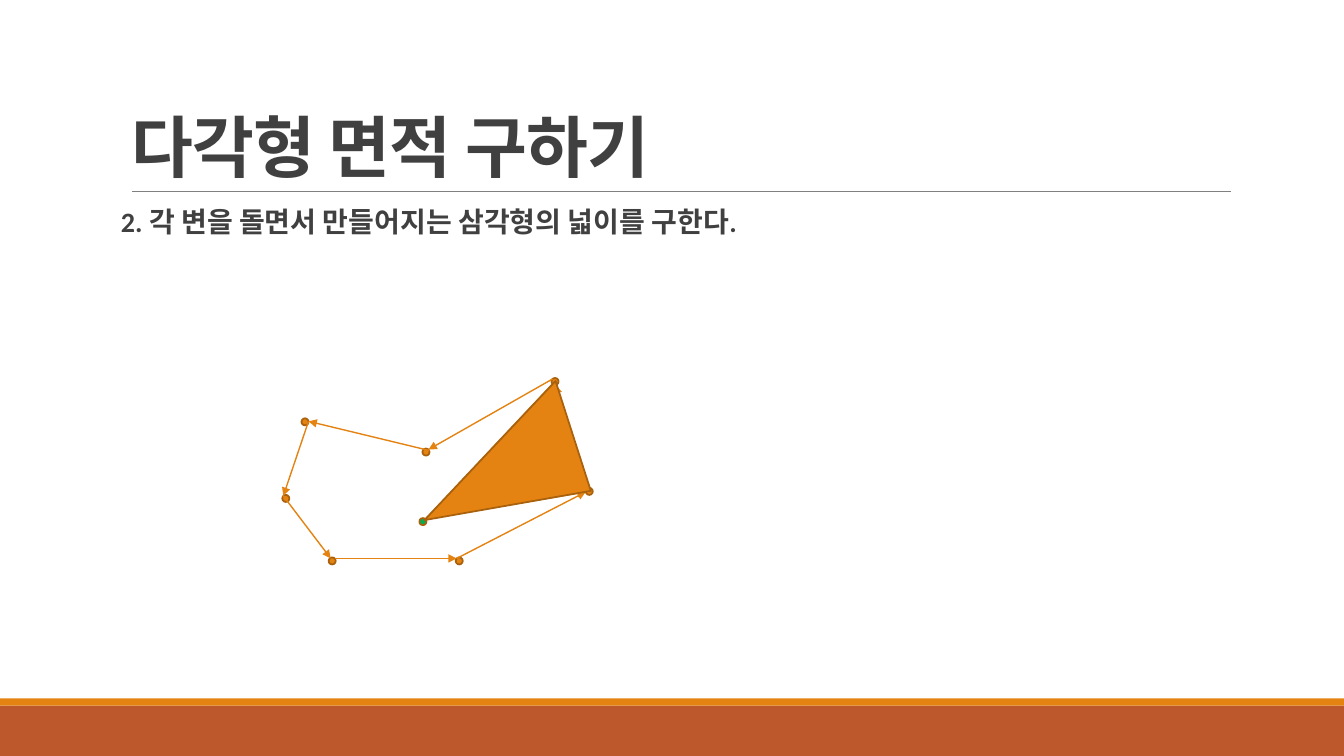
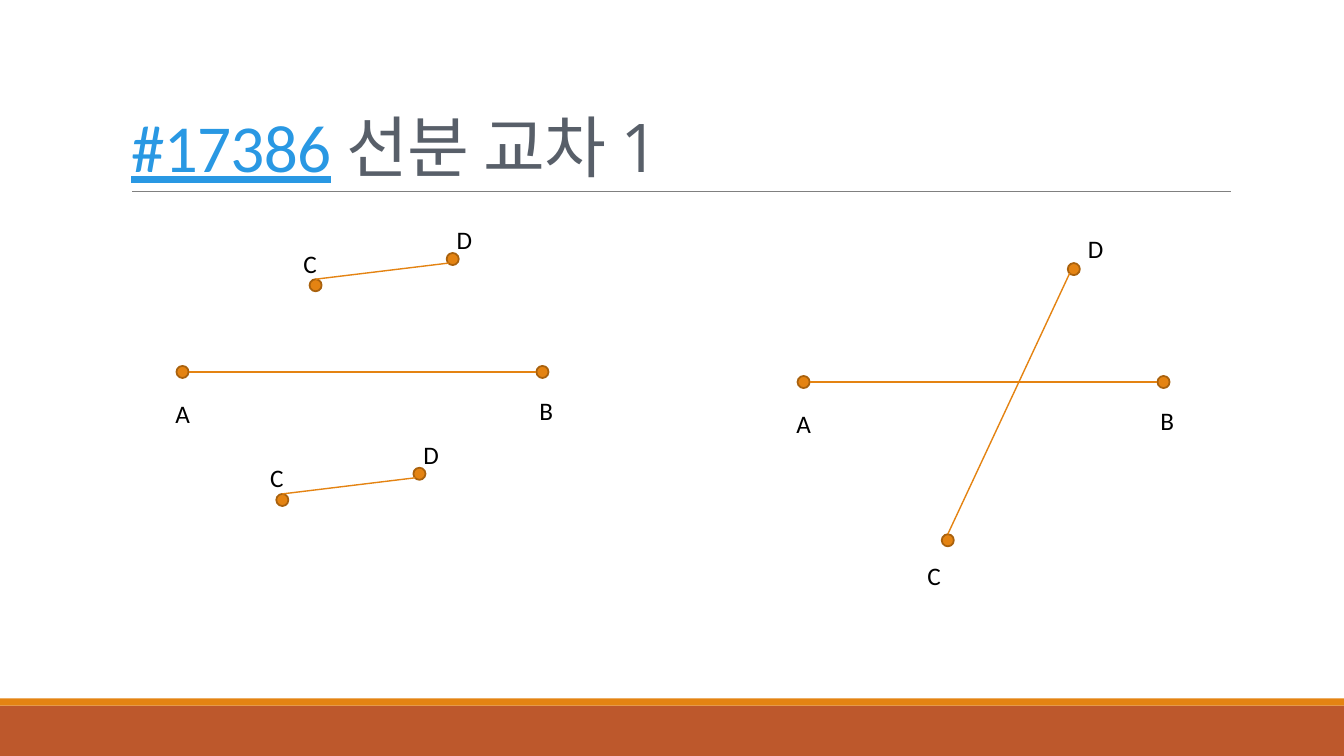
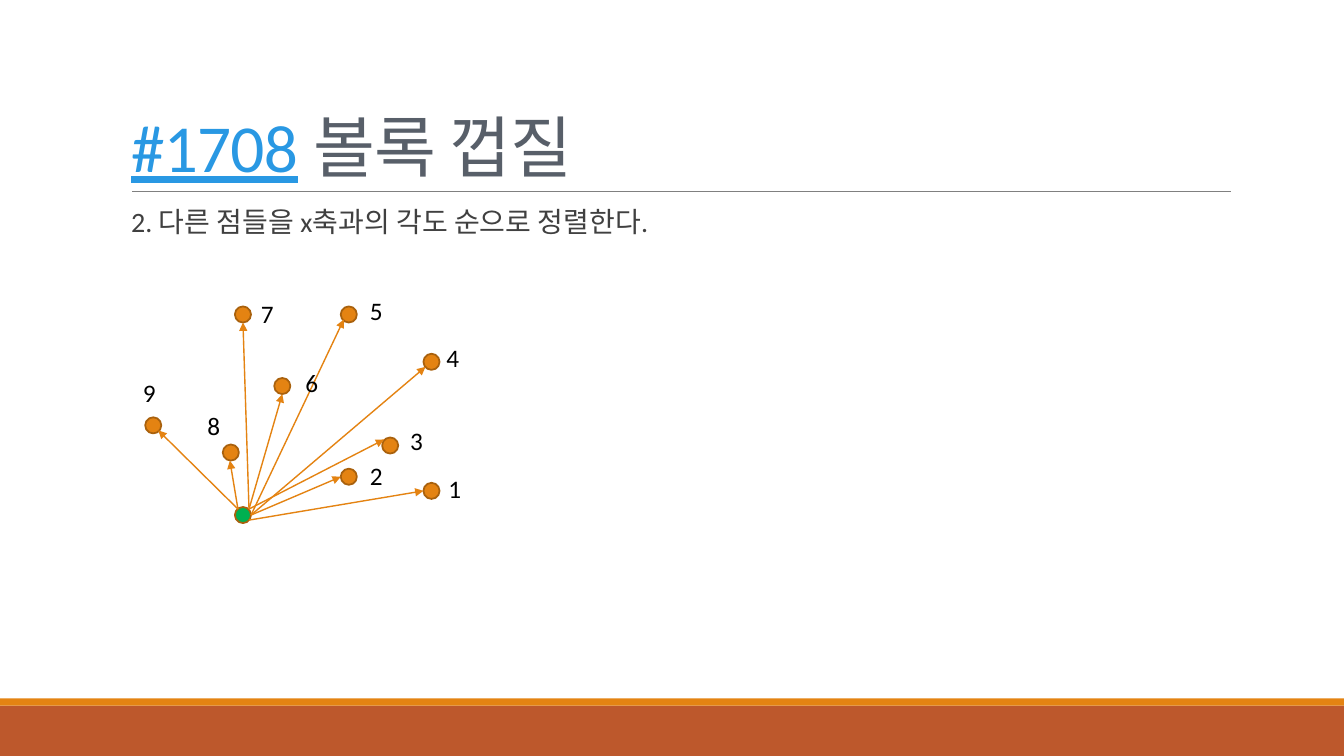
from dataclasses import dataclass
from typing import NamedTuple

from lxml.etree import SubElement
from pptx import Presentation
from pptx.dml.color import RGBColor
from pptx.enum.shapes import MSO_CONNECTOR as Connector, MSO_SHAPE as Preset
from pptx.enum.text import MSO_ANCHOR as Anchor, MSO_AUTO_SIZE as AutoSize, PP_ALIGN as Align
from pptx.oxml.ns import qn
from pptx.util import Inches, Pt

COLORS = {
    "band": "BD582C",
    "accent": "E48312",
    "outline": "A9610D",
    "pivot": "00B050",
    "rule": "808080",
    "text": "404040",
    "link": "2998E3",
    "subject": "585F69",
    "label": "000000",
}
FONT = "Calibri"


class Point(NamedTuple):
    x: float
    y: float

    def shifted(self, by: "Point") -> "Point":
        return Point(self.x + by.x, self.y + by.y)


class Span(NamedTuple):
    text: str
    color: str = "text"
    font: str = FONT
    bold: bool = False
    underline: bool = False


@dataclass(frozen=True)
class Label:
    text: str
    at: Point


@dataclass(frozen=True)
class Segment:
    dots: tuple[Point, Point]
    ends: tuple[Point, Point]
    labels: tuple[Label, Label]


@dataclass(frozen=True)
class Ray:
    dot: Point
    start: Point
    tip: Point
    label: Point


def color(name: str) -> RGBColor:
    return RGBColor.from_string(COLORS[name])


def paint(shape, fill: str, outline: str | None = None) -> None:
    shape.shadow.inherit = False
    shape.fill.solid()
    shape.fill.fore_color.rgb = color(fill)
    if outline:
        shape.line.color.rgb = color(outline)
        shape.line.width = Pt(1.25)
    else:
        shape.line.fill.background()


def style_run(run, span: Span, size: float) -> None:
    font = run.font
    font.name, font.size = span.font, Pt(size)
    font.bold, font.underline = span.bold, span.underline
    font.color.rgb = color(span.color)


def add_line(page, start: Point, end: Point, arrow: bool = False,
             tint: str = "accent", width: float = 1):
    line = page.shapes.add_connector(
        Connector.STRAIGHT, *(Inches(value) for value in (*start, *end)))
    line.line.color.rgb = color(tint)
    line.line.width = Pt(width)
    if arrow:
        SubElement(line.line._get_or_add_ln(), qn("a:tailEnd"), type="triangle")
    SubElement(line.element.spPr, qn("a:effectLst"))
    return line


def add_dot(page, at: Point, size: float, fill: str = "accent") -> None:
    dot = page.shapes.add_shape(
        Preset.OVAL, Inches(at.x), Inches(at.y), Inches(size), Inches(size))
    paint(dot, fill, "outline")


def add_label(page, label: Label, width: float) -> None:
    box = page.shapes.add_textbox(
        Inches(label.at.x), Inches(label.at.y), Inches(width), Inches(0.4))
    frame = box.text_frame
    frame.word_wrap = True
    frame.auto_size = AutoSize.SHAPE_TO_FIT_TEXT
    frame.text = label.text
    style_run(frame.paragraphs[0].runs[0], Span(label.text, "label"), 18)


def add_band(page, top: float, height: float, fill: str):
    band = page.shapes.add_shape(
        Preset.RECTANGLE, 0, Inches(top), deck.slide_width, Inches(height))
    paint(band, fill)
    return band


def move_to_master(page) -> None:
    parts = [
        add_band(page, 7, 0.5, "band"),
        add_band(page, 6.93, 0.07, "accent"),
        add_line(page, Point(1.31, 1.9), Point(12.21, 1.9), tint="rule", width=0.5),
    ]
    tree = deck.slide_master.shapes.element
    for position, part in enumerate(parts, start=2):
        tree.insert(position, part.element)


def place(shape, top: float, height: float) -> None:
    shape.left, shape.top = Inches(1.2), Inches(top)
    shape.width, shape.height = Inches(11), Inches(height)


def set_title(page, spans: list[Span]) -> None:
    title = page.shapes.title
    place(title, 0.31, 1.59)
    frame = title.text_frame
    frame.vertical_anchor = Anchor.BOTTOM
    frame.auto_size = AutoSize.NONE
    para = frame.paragraphs[0]
    para.alignment = Align.LEFT
    para.line_spacing = 0.85
    for span in spans:
        run = para.add_run()
        run.text = span.text
        style_run(run, span, 48)
        run.font._element.set("spc", "-50")


def set_body(page, span: Span, indent: float = 0) -> None:
    body = page.placeholders[1]
    place(body, 2.02, 4.4)
    frame = body.text_frame
    frame.margin_left = frame.margin_right = 0
    frame.auto_size = AutoSize.NONE
    frame.text = span.text
    para = frame.paragraphs[0]
    para.line_spacing = 0.9
    para.space_before, para.space_after = Pt(12), Pt(2)
    style_run(para.runs[0], span, 20)
    properties = para._p.get_or_add_pPr()
    properties.set("marL", str(Inches(indent)))
    properties.set("indent", str(Inches(-indent)))
    if indent:
        bullet_color = SubElement(properties, qn("a:buClr"))
        SubElement(bullet_color, qn("a:srgbClr"), val=COLORS["accent"])
        SubElement(properties, qn("a:buChar"), char=" ")
    else:
        SubElement(properties, qn("a:buNone"))


def problem_title(number: str, subject: str) -> list[Span]:
    return [
        Span(number, "link", underline=True),
        Span(" "),
        Span(subject, "subject", "Open Sans"),
    ]


def add_triangle(page, corners: list[Point]) -> None:
    first, *others = [(Inches(x), Inches(y)) for x, y in corners]
    builder = page.shapes.build_freeform(*first)
    builder.add_line_segments(others, close=True)
    paint(builder.convert_to_shape(), "accent", "outline")


def add_segment(page, segment: Segment, shift: Point = Point(0, 0)) -> None:
    for dot in segment.dots:
        add_dot(page, dot.shifted(shift), 0.12)
    add_line(page, *(end.shifted(shift) for end in segment.ends))
    for label in segment.labels:
        add_label(page, Label(label.text, label.at.shifted(shift)), 0.72)


def build_polygon_area(page) -> None:
    set_title(page, [Span("다각형 면적 구하기", bold=True)])
    set_body(page, Span("2. 각 변을 돌면서 만들어지는 삼각형의 넓이를 구한다.", bold=True))
    vertices = [
        Point(3.26, 5.53), Point(4.52, 5.53), Point(5.81, 4.84), Point(5.47, 3.75),
        Point(4.19, 4.45), Point(2.99, 4.15), Point(2.8, 4.91),
    ]
    edges = [
        (Point(3.32, 5.54), Point(4.53, 5.54)),
        (Point(4.53, 5.54), Point(5.81, 4.88)),
        (Point(5.82, 4.85), Point(5.51, 3.82)),
        (Point(5.48, 3.76), Point(4.25, 4.46)),
        (Point(4.26, 4.47), Point(3.06, 4.18)),
        (Point(3.06, 4.18), Point(2.81, 4.92)),
        (Point(2.81, 4.92), Point(3.28, 5.54)),
    ]
    for vertex in vertices:
        add_dot(page, vertex, 0.07)
    for start, end in edges:
        add_line(page, start, end, arrow=True)
    add_dot(page, Point(4.16, 5.14), 0.07, "pivot")
    pivot_edge = Point(4.22, 5.15)
    add_line(page, pivot_edge, Point(5.81, 4.88), arrow=True)
    add_line(page, pivot_edge, Point(5.48, 3.81))
    add_triangle(page, [Point(4.21, 5.16), Point(5.86, 4.87), Point(5.51, 3.78)])


def build_crossing(page) -> None:
    set_title(page, problem_title("#17386", "선분 교차 1"))
    base = Segment(
        (Point(1.75, 3.63), Point(5.32, 3.63)),
        (Point(1.87, 3.69), Point(5.32, 3.69)),
        (Label("A", Point(1.64, 3.9)), Label("B", Point(5.25, 3.87))))
    apart = Segment(
        (Point(4.43, 2.51), Point(3.07, 2.77)),
        (Point(3.13, 2.77), Point(4.45, 2.61)),
        (Label("C", Point(2.91, 2.41)), Label("D", Point(4.43, 2.18))))
    crossing = Segment(
        (Point(10.59, 2.61), Point(9.34, 5.3)),
        (Point(9.4, 5.3), Point(10.61, 2.71)),
        (Label("C", Point(9.1, 5.51)), Label("D", Point(10.69, 2.27))))
    add_segment(page, base, Point(6.16, 0.1))
    add_segment(page, crossing)
    add_segment(page, base)
    add_segment(page, apart)
    add_segment(page, apart, Point(-0.33, 2.13))


def build_convex_hull(page) -> None:
    set_title(page, problem_title("#1708", "볼록 껍질"))
    set_body(page, Span("2. 다른 점들을 x축과의 각도 순으로 정렬한다."), indent=0.1)
    low, right = Point(2.47, 5.16), Point(2.49, 5.11)
    upper_right, upper_left = Point(2.47, 5.05), Point(2.36, 5.05)
    rays = [
        Ray(Point(4.2, 4.79), low, Point(4.2, 4.87), Point(4.35, 4.65)),
        Ray(Point(3.38, 4.65), right, Point(3.38, 4.73), Point(3.57, 4.52)),
        Ray(Point(3.79, 4.34), upper_right, Point(3.81, 4.36), Point(3.97, 4.17)),
        Ray(Point(4.2, 3.51), right, Point(4.22, 3.64), Point(4.33, 3.35)),
        Ray(Point(3.38, 3.04), right, Point(3.41, 3.17), Point(3.57, 2.88)),
        Ray(Point(2.72, 3.75), upper_right, Point(2.8, 3.91), Point(2.93, 3.59)),
        Ray(Point(2.33, 3.04), upper_right, Point(2.41, 3.2), Point(2.49, 2.91)),
        Ray(Point(2.21, 4.41), upper_left, Point(2.28, 4.57), Point(1.96, 4.02)),
        Ray(Point(1.44, 4.14), upper_left, Point(1.57, 4.27), Point(1.32, 3.69)),
    ]
    add_dot(page, Point(2.33, 5.03), 0.16, "pivot")
    for ray in rays:
        add_dot(page, ray.dot, 0.16)
    for ray in rays:
        add_line(page, ray.start, ray.tip, arrow=True)
    for rank, ray in enumerate(rays, start=1):
        add_label(page, Label(str(rank), ray.label), 1.73)


deck = Presentation()
deck.slide_width, deck.slide_height = Inches(13.33), Inches(7.5)
title_and_content, title_only = deck.slide_layouts[1], deck.slide_layouts[5]
area_page = deck.slides.add_slide(title_and_content)
move_to_master(area_page)
build_polygon_area(area_page)
build_crossing(deck.slides.add_slide(title_only))
build_convex_hull(deck.slides.add_slide(title_and_content))
deck.save("out.pptx")
